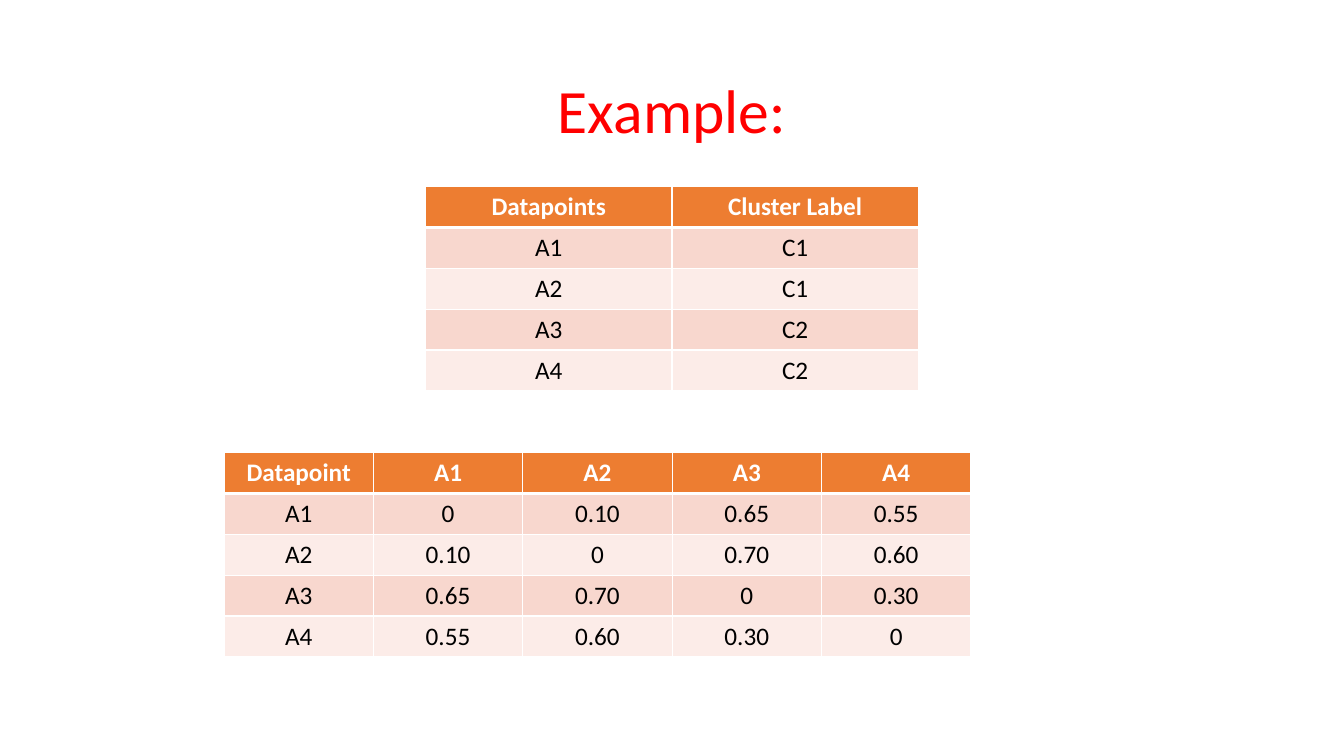
from lxml.etree import SubElement
from pptx import Presentation
from pptx.dml.color import RGBColor
from pptx.enum.text import MSO_ANCHOR, PP_ALIGN
from pptx.oxml.ns import qn
from pptx.util import Pt

WHITE, BLACK, RED = "FFFFFF", "000000", "FF0000"
HEADER, BANDS = "ED7D31", ("F8D7CE", "FCECE8")
ROW_HEIGHT = 29.2

TITLE_FORMAT = {"name": "Calibri", "size": Pt(44), "bold": False}
HEADER_FORMAT = {"name": "Calibri", "size": Pt(18), "bold": True}
BODY_FORMAT = {**HEADER_FORMAT, "bold": False}

CLUSTERS = [
    ["Datapoints", "Cluster Label"],
    ["A1", "C1"],
    ["A2", "C1"],
    ["A3", "C2"],
    ["A4", "C2"],
]
DISTANCES = [
    ["Datapoint", "A1", "A2", "A3", "A4"],
    ["A1", "0", "0.10", "0.65", "0.55"],
    ["A2", "0.10", "0", "0.70", "0.60"],
    ["A3", "0.65", "0.70", "0", "0.30"],
    ["A4", "0.55", "0.60", "0.30", "0"],
]


def rgb(value):
    return RGBColor.from_string(value)


def write(tf, text, font, color):
    """Put one centred run into a text frame."""
    p = tf.paragraphs[0]
    p.alignment = PP_ALIGN.CENTER
    r = p.add_run()
    r.text = text
    for key, value in font.items():
        setattr(r.font, key, value)
    r.font.color.rgb = rgb(color)
    return p


def add_title(slide, text, left, top, width, height):
    sp = slide.shapes.add_textbox(Pt(left), Pt(top), Pt(width), Pt(height))
    tf = sp.text_frame
    tf.word_wrap = True
    tf.vertical_anchor = MSO_ANCHOR.MIDDLE
    write(tf, text, TITLE_FORMAT, RED).line_spacing = 0.9


def add_borders(cell, widths):
    """Draw white cell borders; widths maps each side to points."""
    tcPr = cell._tc.get_or_add_tcPr()
    for side, width in widths.items():
        ln = SubElement(tcPr, qn(f"a:ln{side}"), w=str(Pt(width)))
        fill = SubElement(ln, qn("a:solidFill"))
        SubElement(fill, qn("a:srgbClr"), val=WHITE)


def add_data_table(slide, rows, left, top, col_width):
    n_rows, n_cols = len(rows), len(rows[0])
    table = slide.shapes.add_table(
        n_rows, n_cols, Pt(left), Pt(top),
        Pt(col_width * n_cols), Pt(ROW_HEIGHT * n_rows)).table
    for col in table.columns:
        col.width = Pt(col_width)
    for i, row in enumerate(rows):
        table.rows[i].height = Pt(ROW_HEIGHT)
        # Header row, then alternating bands
        if i == 0:
            fill, font, color = HEADER, HEADER_FORMAT, WHITE
        else:
            fill, font, color = BANDS[(i - 1) % 2], BODY_FORMAT, BLACK
        # A thicker rule separates the header from the body
        widths = {"L": 1, "R": 1, "T": 3 if i == 1 else 1, "B": 3 if i == 0 else 1}
        for j, text in enumerate(row):
            cell = table.cell(i, j)
            add_borders(cell, widths)
            cell.fill.solid()
            cell.fill.fore_color.rgb = rgb(fill)
            write(cell.text_frame, text, font, color)


def main():
    prs = Presentation()
    prs.slide_width, prs.slide_height = Pt(960), Pt(540)
    slide = prs.slides.add_slide(prs.slide_layouts[6])

    # Title
    add_title(slide, "Example:", 66, 28.8, 828, 104.4)

    # Cluster labels, then pairwise distances
    add_data_table(slide, CLUSTERS, left=304, top=133.2, col_width=176)
    add_data_table(slide, DISTANCES, left=160, top=323.2, col_width=106.7)

    prs.save("out.pptx")


if __name__ == "__main__":
    main()
